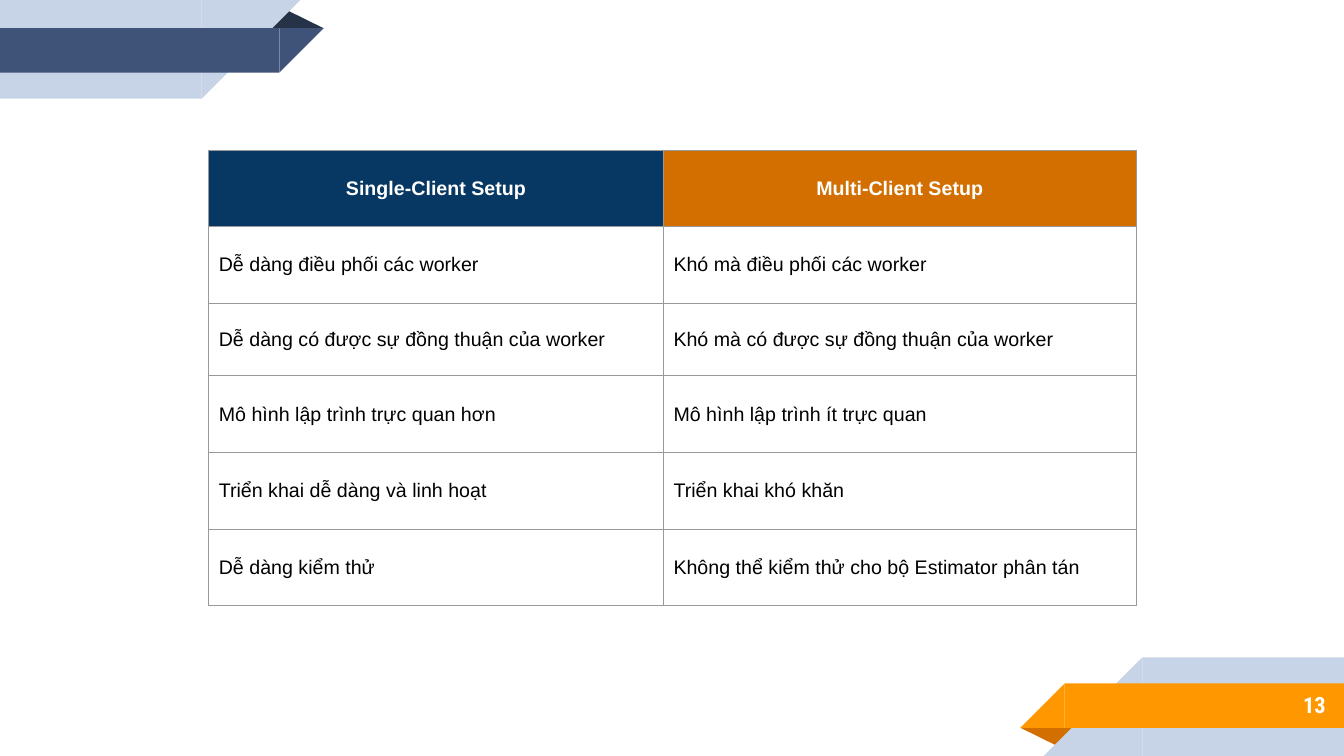
"""Build a slide comparing single-client and multi-client setups."""
from lxml import etree
from pptx import Presentation, util as u
from pptx.dml.color import RGBColor
from pptx.enum import shapes, text
from pptx.oxml.ns import qn

WIDTH, HEIGHT = 13.33, 7.5
THEME = {
    "navy": "3F5378", "navy_fold": "263248", "orange": "FF9800", "orange_fold": "D26F00",
    "pale": "C7D3E6", "white": "FFFFFF", "black": "000000", "grid": "999999",
    "heads": ["073763", "D26F00"],
    "font": "Arial", "number_font": "Roboto Condensed", "size": 14, "number_size": 16,
}
ROWS = [
    ("Single-Client Setup", "Multi-Client Setup"),
    ("Dễ dàng điều phối các worker", "Khó mà điều phối các worker"),
    ("Dễ dàng có được sự đồng thuận của worker", "Khó mà có được sự đồng thuận của worker"),
    ("Mô hình lập trình trực quan hơn", "Mô hình lập trình ít trực quan"),
    ("Triển khai dễ dàng và linh hoạt", "Triển khai khó khăn"),
    ("Dễ dàng kiểm thử", "Không thể kiểm thử cho bộ Estimator phân tán"),
]
COL_WIDTHS = [4.51, 4.69]
ROW_HEIGHTS = [0.76, 0.76, 0.72, 0.76, 0.76, 0.76]
TABLE_LEFT, TABLE_TOP = 2.07, 1.49
PAGE_NUMBER = "13"
KIND = shapes.MSO_SHAPE
RIBBON = [
    (KIND.ISOSCELES_TRIANGLE, (2.64, 0.09, 0.57, 0.19), 0, "fold"),
    (KIND.RECTANGLE, (0, 0, 2, 0.98), 0, "back"),
    (KIND.RIGHT_TRIANGLE, (2, 0, 0.98, 0.98), 90, "back"),
    (KIND.RECTANGLE, (0, 0.28, 2.77, 0.44), 0, "band"),
    (KIND.RIGHT_TRIANGLE, (2.77, 0.28, 0.44, 0.44), 90, "band"),
]


def rgb(name):
    return RGBColor.from_string(THEME.get(name, name))


def style(p, font, size, color, bold, align):
    p.alignment = align
    f = p.runs[0].font
    f.name, f.size, f.bold = font, u.Pt(size), bold
    f.color.rgb = rgb(color)


def add_ribbon(s, colors, turned):
    for kind, (x, y, w, h), angle, part in RIBBON:
        if turned:
            x, y, angle = WIDTH - x - w, HEIGHT - y - h, angle + 180
        sp = s.shapes.add_shape(kind, *map(u.Inches, (x, y, w, h)))
        sp.rotation = angle
        if part == "fold":
            sp.adjustments[0] = 0.324
        sp.shadow.inherit = False
        sp.fill.solid()
        sp.fill.fore_color.rgb = rgb(colors[part])
        sp.line.fill.background()


def add_borders(cell):
    props = cell._tc.get_or_add_tcPr()
    for i, side in enumerate(("a:lnL", "a:lnR", "a:lnT", "a:lnB")):
        ln = etree.Element(qn(side), w=str(u.Pt(0.75)))
        fill = etree.SubElement(ln, qn("a:solidFill"))
        etree.SubElement(fill, qn("a:srgbClr"), val=THEME["grid"])
        props.insert(i, ln)


def add_comparison(s):
    box = (TABLE_LEFT, TABLE_TOP, sum(COL_WIDTHS), sum(ROW_HEIGHTS))
    table = s.shapes.add_table(len(ROWS), len(COL_WIDTHS), *map(u.Inches, box)).table
    for col, width in zip(table.columns, COL_WIDTHS):
        col.width = u.Inches(width)
    for i, (row, height) in enumerate(zip(table.rows, ROW_HEIGHTS)):
        row.height = u.Inches(height)
        for j, cell in enumerate(row.cells):
            head = i == 0
            cell.text_frame.text = ROWS[i][j]
            style(cell.text_frame.paragraphs[0], THEME["font"], THEME["size"],
                  "white" if head else "black", head,
                  text.PP_ALIGN.CENTER if head else text.PP_ALIGN.LEFT)
            cell.vertical_anchor = text.MSO_ANCHOR.MIDDLE
            cell.margin_left = cell.margin_right = u.Inches(0.1)
            cell.margin_top = cell.margin_bottom = u.Inches(0.1)
            if head:
                cell.fill.solid()
                cell.fill.fore_color.rgb = rgb(THEME["heads"][j])
            else:
                cell.fill.background()
            add_borders(cell)


def add_page_number(s):
    tf = s.shapes.add_textbox(*map(u.Inches, (11.11, 6.76, 2.17, 0.46))).text_frame
    tf.word_wrap = True
    tf.vertical_anchor = text.MSO_ANCHOR.MIDDLE
    tf.margin_left = tf.margin_right = tf.margin_top = tf.margin_bottom = u.Inches(0.13)
    tf.text = PAGE_NUMBER
    style(tf.paragraphs[0], THEME["number_font"], THEME["number_size"],
          "white", True, text.PP_ALIGN.RIGHT)


def main():
    prs = Presentation()
    prs.slide_width, prs.slide_height = u.Inches(WIDTH), u.Inches(HEIGHT)
    s = prs.slides.add_slide(prs.slide_layouts[6])
    add_ribbon(s, {"fold": "navy_fold", "back": "pale", "band": "navy"}, False)
    add_ribbon(s, {"fold": "orange_fold", "back": "pale", "band": "orange"}, True)
    add_page_number(s)
    add_comparison(s)
    prs.save("out.pptx")


if __name__ == "__main__":
    main()
